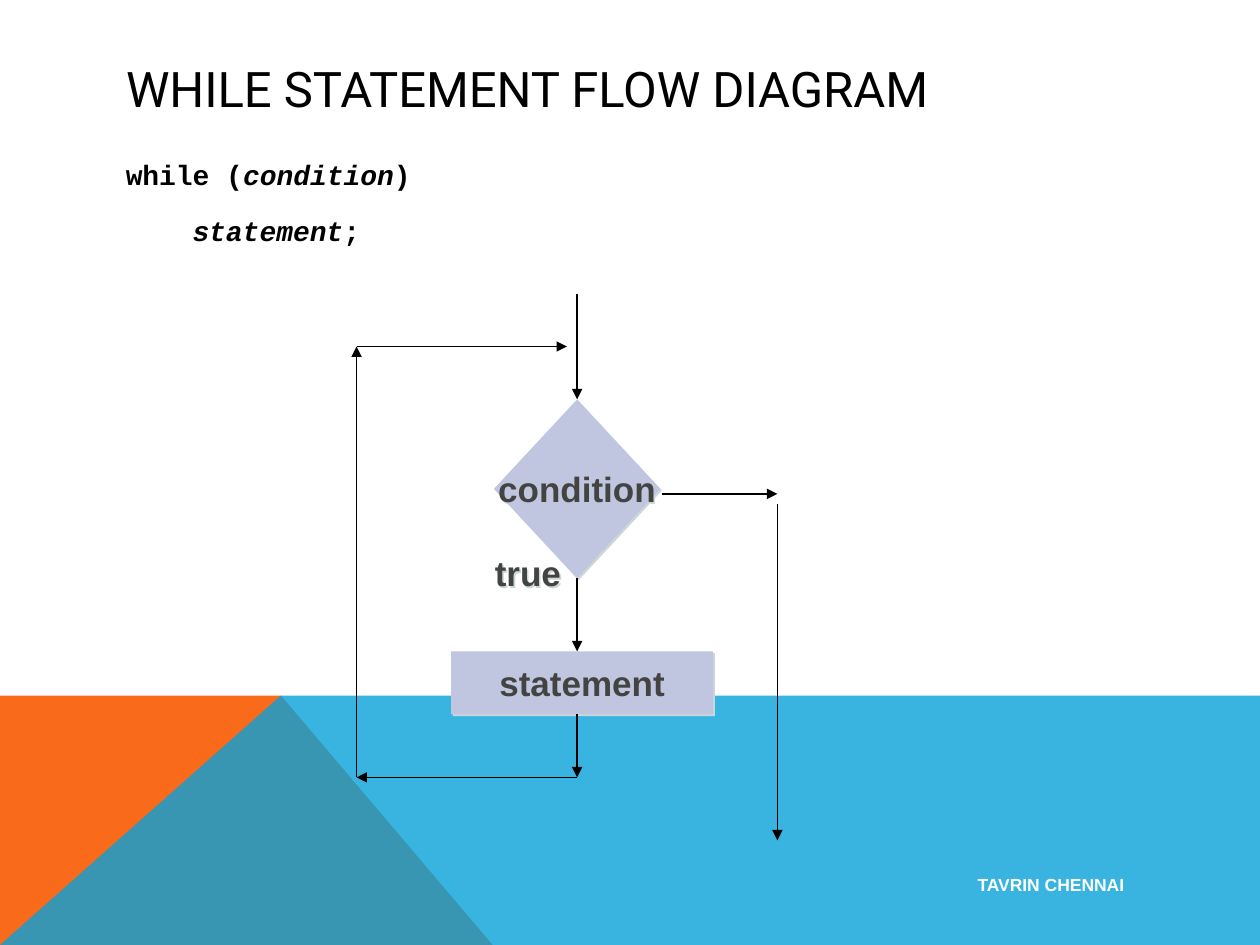
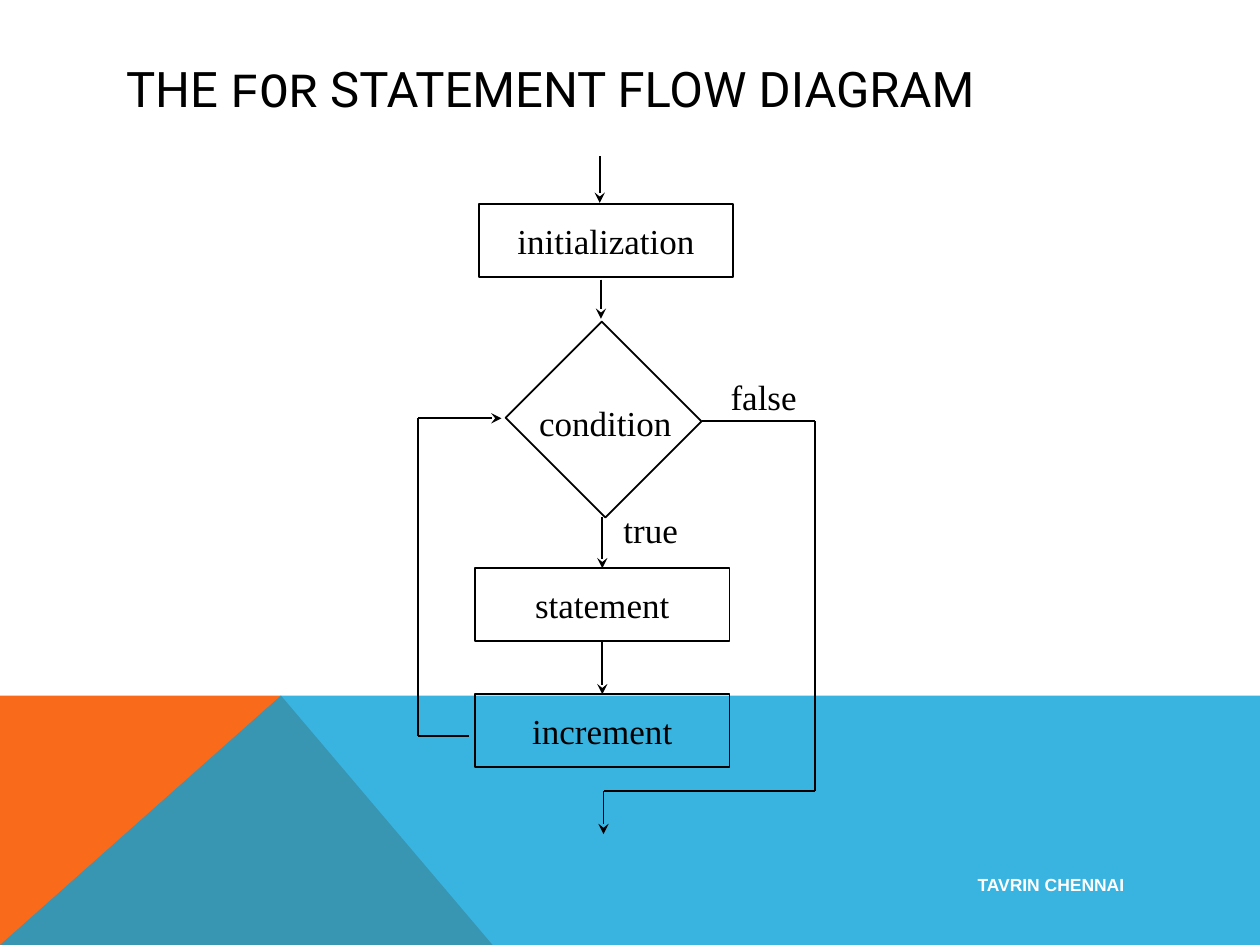
from dataclasses import dataclass

from lxml.etree import SubElement
from pptx import Presentation
from pptx.dml.color import RGBColor
from pptx.enum.shapes import MSO_CONNECTOR, MSO_SHAPE
from pptx.enum.text import MSO_ANCHOR, MSO_AUTO_SIZE, PP_ALIGN
from pptx.oxml.ns import qn
from pptx.util import Inches, Pt


# Colours, type styles and line weight
@dataclass(frozen=True)
class Theme:
    ink: str = "000000"
    white: str = "FFFFFF"
    orange: str = "F96A1B"
    blue: str = "08A1D9"
    lilac: str = "C0C6E0"
    grey: str = "434342"
    shade: str = "CDD7D9"
    line: float = 1

    def font(self, role):
        return {
            "title": dict(name="Roboto", size=Pt(28), color=self.ink),
            "title code": dict(name="Courier New", size=Pt(28), color=self.ink),
            "code": dict(name="Courier New", size=Pt(16), bold=True, color=self.ink),
            "code part": dict(name="Courier New", size=Pt(16), bold=True,
                              italic=True, color=self.ink),
            "while": dict(name="Arial", size=Pt(20), bold=True, color=self.grey),
            "for": dict(name="Times New Roman", size=Pt(20), color=self.ink),
            "footer": dict(name="Arial", size=Pt(10), bold=True, color=self.white),
        }[role]


TOP, LEFT, BOTTOM, RIGHT = range(4)


class Deck:
    """Holds the theme and the current slide, and draws on that slide."""

    def __init__(self, prs, theme):
        self.prs, self.theme, self.s = prs, theme, None

    def new_slide(self, title_runs):
        self.s = self.prs.slides.add_slide(self.prs.slide_layouts[5])
        self.band([(0, 7.5), (0, 5.52), (2.23, 5.52), (3.91, 7.5)], self.theme.orange)
        self.band([(0, 7.5), (2.23, 5.52), (10, 5.52), (10, 7.5)], self.theme.blue, 80)
        self.title(title_runs)
        self.text((3.85, 6.87, 5.17, 0.3), "TAVRIN CHENNAI", "footer",
                  align=PP_ALIGN.RIGHT, anchor=MSO_ANCHOR.MIDDLE, wrap=True)

    # Basic formatting
    def runs(self, p, runs):
        for text, role in runs:
            r = p.add_run()
            r.text = text
            for key, value in self.theme.font(role).items():
                if key == "color":
                    r.font.color.rgb = RGBColor.from_string(value)
                else:
                    setattr(r.font, key, value)

    def frame(self, sp, **settings):
        insets = dict(margin_left=Inches(0.1), margin_right=Inches(0.1),
                      margin_top=Inches(0.05), margin_bottom=Inches(0.05))
        for key, value in {**insets, **settings}.items():
            setattr(sp.text_frame, key, value)
        return sp.text_frame

    def fill(self, sp, color, opacity=100):
        sp.fill.solid()
        sp.fill.fore_color.rgb = RGBColor.from_string(color)
        if opacity < 100:
            clr = sp.fill._xPr.find(qn("a:solidFill"))[0]
            SubElement(clr, qn("a:alpha"), val=str(opacity * 1000))

    def cast_shadow(self, sp):
        sp.shadow.inherit = False
        effects = sp._element.spPr.find(qn("a:effectLst"))
        shadow = SubElement(effects, qn("a:outerShdw"), dist=str(Pt(1.4)),
                            dir=str(45 * 60000), algn="ctr", rotWithShape="0")
        SubElement(shadow, qn("a:srgbClr"), val=self.theme.shade)

    # Slide furniture
    def band(self, points, color, opacity=100):
        start, *rest = [(Inches(x), Inches(y)) for x, y in points]
        builder = self.s.shapes.build_freeform(*start, scale=1.0)
        builder.add_line_segments(rest, close=True)
        sp = builder.convert_to_shape()
        sp.shadow.inherit = False
        sp.line.fill.background()
        self.fill(sp, color, opacity)

    def title(self, runs):
        sp = self.s.shapes.title
        box = zip(("left", "top", "width", "height"), (0.9, 0.4, 8.23, 0.6))
        for key, value in box:
            setattr(sp, key, Inches(value))
        tf = self.frame(sp, vertical_anchor=MSO_ANCHOR.MIDDLE, word_wrap=True)
        p = tf.paragraphs[0]
        p.alignment = PP_ALIGN.LEFT
        self.runs(p, runs)

    # Text
    def text(self, box, text, role, align=PP_ALIGN.LEFT, anchor=MSO_ANCHOR.TOP,
             wrap=False):
        sp = self.s.shapes.add_textbox(*map(Inches, box))
        size = MSO_AUTO_SIZE.NONE if wrap else MSO_AUTO_SIZE.SHAPE_TO_FIT_TEXT
        tf = self.frame(sp, vertical_anchor=anchor, word_wrap=wrap, auto_size=size)
        p = tf.paragraphs[0]
        p.alignment = align
        self.runs(p, [(text, role)])
        return sp

    def code(self, box, lines):
        sp = self.s.shapes.add_textbox(*map(Inches, box))
        tf = self.frame(sp, word_wrap=True)
        for i, (indent, runs) in enumerate(lines):
            p = tf.add_paragraph() if i else tf.paragraphs[0]
            formats = dict(space_before=Pt(8), space_after=Pt(5), line_spacing=1.0)
            for key, value in formats.items():
                setattr(p, key, value)
            p._p.get_or_add_pPr().set("marL", str(Inches(indent)))
            self.runs(p, runs)

    # Flow chart parts
    def node(self, box, text, role, kind=MSO_SHAPE.RECTANGLE, fill=None, rotation=0):
        sp = self.s.shapes.add_shape(kind, *map(Inches, box))
        sp.rotation = rotation
        if fill:
            self.fill(sp, fill)
            sp.line.fill.background()
            self.cast_shadow(sp)
        else:
            sp.fill.background()
            sp.line.color.rgb = RGBColor.from_string(self.theme.ink)
            sp.line.width = Pt(self.theme.line)
            sp.shadow.inherit = False
        if text:
            tf = self.frame(sp, vertical_anchor=MSO_ANCHOR.MIDDLE, word_wrap=False)
            p = tf.paragraphs[0]
            p.alignment = PP_ALIGN.CENTER
            self.runs(p, [(text, role)])
        return sp

    def line(self, start, end, head=None, begin=None, finish=None):
        """Draw a line; begin and finish are (shape, side) joins."""
        c = self.s.shapes.add_connector(MSO_CONNECTOR.STRAIGHT,
                                        *map(Inches, (*start, *end)))
        if begin:
            c.begin_connect(*begin)
        if finish:
            c.end_connect(*finish)
        c.line.color.rgb = RGBColor.from_string(self.theme.ink)
        c.line.width = Pt(self.theme.line)
        if head:
            SubElement(c.line._get_or_add_ln(), qn("a:tailEnd"), type=head)
        SubElement(c._element.spPr, qn("a:effectLst"))


def while_slide(deck):
    deck.new_slide([("WHILE STATEMENT FLOW DIAGRAM", "title")])
    deck.code((0.9, 1.2, 8.23, 3.91), [
        (0, [("while (", "code"), ("condition", "code part"), (")", "code")]),
        (0.53, [("statement", "code part"), (";", "code")]),
    ])

    # Steps
    lilac = deck.theme.lilac
    condition = deck.node((3.92, 3.17, 1.32, 1.42), "condition", "while",
                          MSO_SHAPE.FLOWCHART_DECISION, lilac)
    deck.node((3.58, 5.17, 2.08, 0.5), "statement", "while", fill=lilac)
    true_label = deck.text((3.74, 4.33, 0.9, 0.44), "true", "while", PP_ALIGN.CENTER)
    deck.cast_shadow(true_label)

    # Entry, and the branch into the statement
    axis, head = 4.58, "triangle"
    deck.line((axis, 2.33), (axis, 3.17), head, finish=(condition, TOP))
    deck.line((axis, 4.59), (axis, 5.17), head, begin=(condition, BOTTOM))

    # Loop back, then the exit
    loop = [(axis, 5.67), (axis, 6.17), (2.83, 6.17), (2.83, 2.75), (4.5, 2.75)]
    for start, end in zip(loop, loop[1:]):
        deck.line(start, end, head)
    deck.line((5.25, 3.92), (6.17, 3.92), head)
    deck.line((6.17, 4), (6.17, 6.67), head)


def for_slide(deck):
    deck.new_slide([("THE ", "title"), ("FOR", "title code"),
                    (" STATEMENT FLOW DIAGRAM", "title")])

    # Steps
    deck.node((3.8, 1.62, 2.02, 0.58), "initialization", "for")
    deck.node((4.23, 2.79, 1.12, 1.08), "", "for", rotation=45)
    statement, increment = [
        deck.node((3.77, top, 2.02, 0.58), text, "for")
        for top, text in ((4.51, "statement"), (5.51, "increment"))]
    for box, text in (((4.18, 3.14, 1.25, 0.43), "condition"),
                      ((5.7, 2.93, 0.73, 0.43), "false"),
                      ((4.85, 3.99, 0.64, 0.43), "true")):
        deck.text(box, text, "for")

    # Downward arrows
    head = "stealth"
    deck.line((4.76, 1.24), (4.76, 1.61), head)
    deck.line((4.77, 2.22), (4.77, 2.53), head)
    deck.line((4.78, 4.1), (4.78, 4.51), head, finish=(statement, TOP))
    deck.line((4.78, 5.09), (4.78, 5.51), head,
              begin=(statement, BOTTOM), finish=(increment, TOP))

    # Exit on the right and loop back on the left, each ending in an arrow
    exit_route = [(5.57, 3.34), (6.47, 3.34), (6.47, 6.28), (4.79, 6.28), (4.79, 6.62)]
    loop = [(3.72, 5.84), (3.32, 5.84), (3.32, 3.32), (3.98, 3.32)]
    for route in (exit_route, loop):
        for start, end in zip(route, route[1:]):
            deck.line(start, end, head if end == route[-1] else None)


def main():
    prs = Presentation()
    prs.slide_width, prs.slide_height = Inches(10), Inches(7.5)
    deck = Deck(prs, Theme())
    while_slide(deck)
    for_slide(deck)
    prs.save("out.pptx")


if __name__ == "__main__":
    main()
